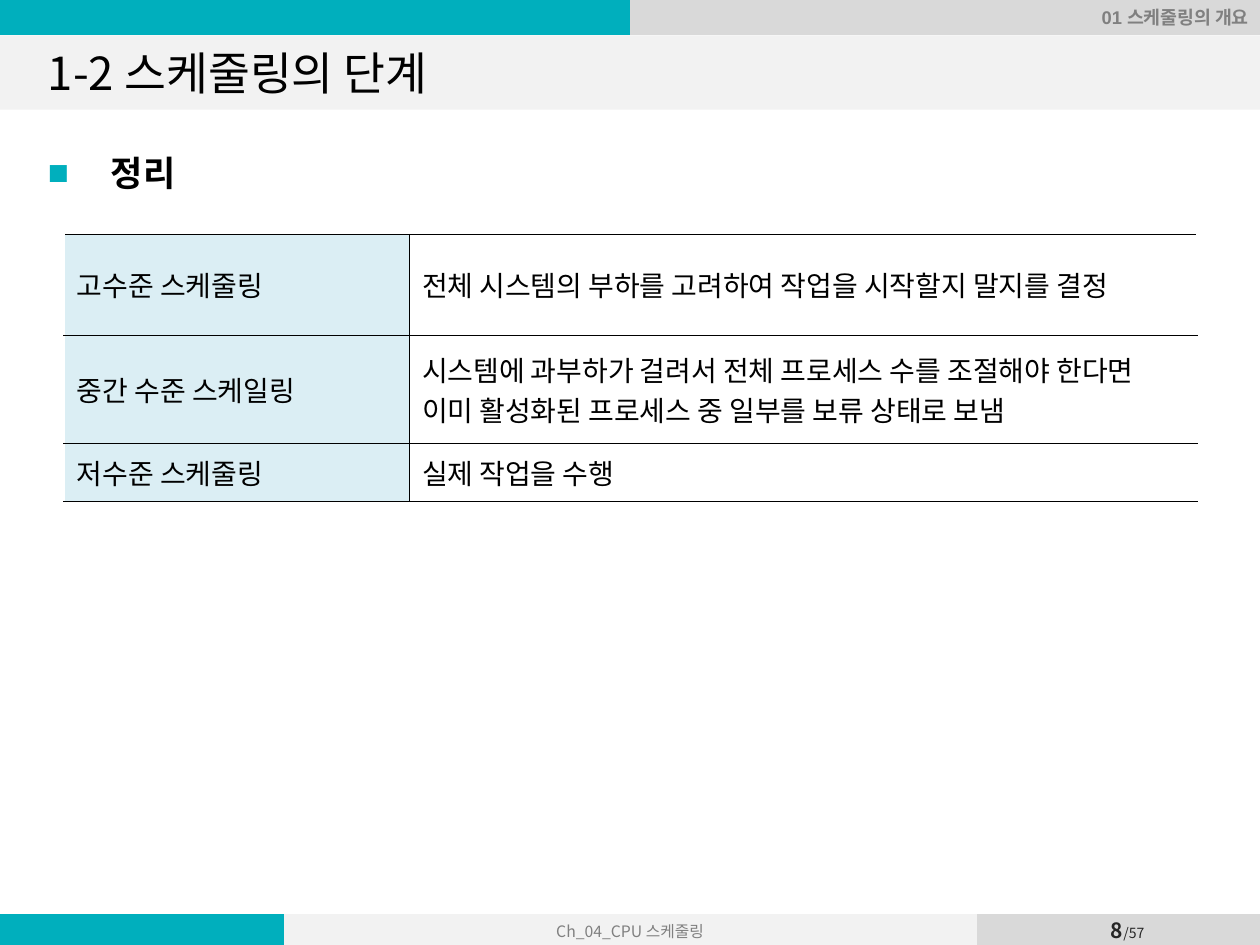
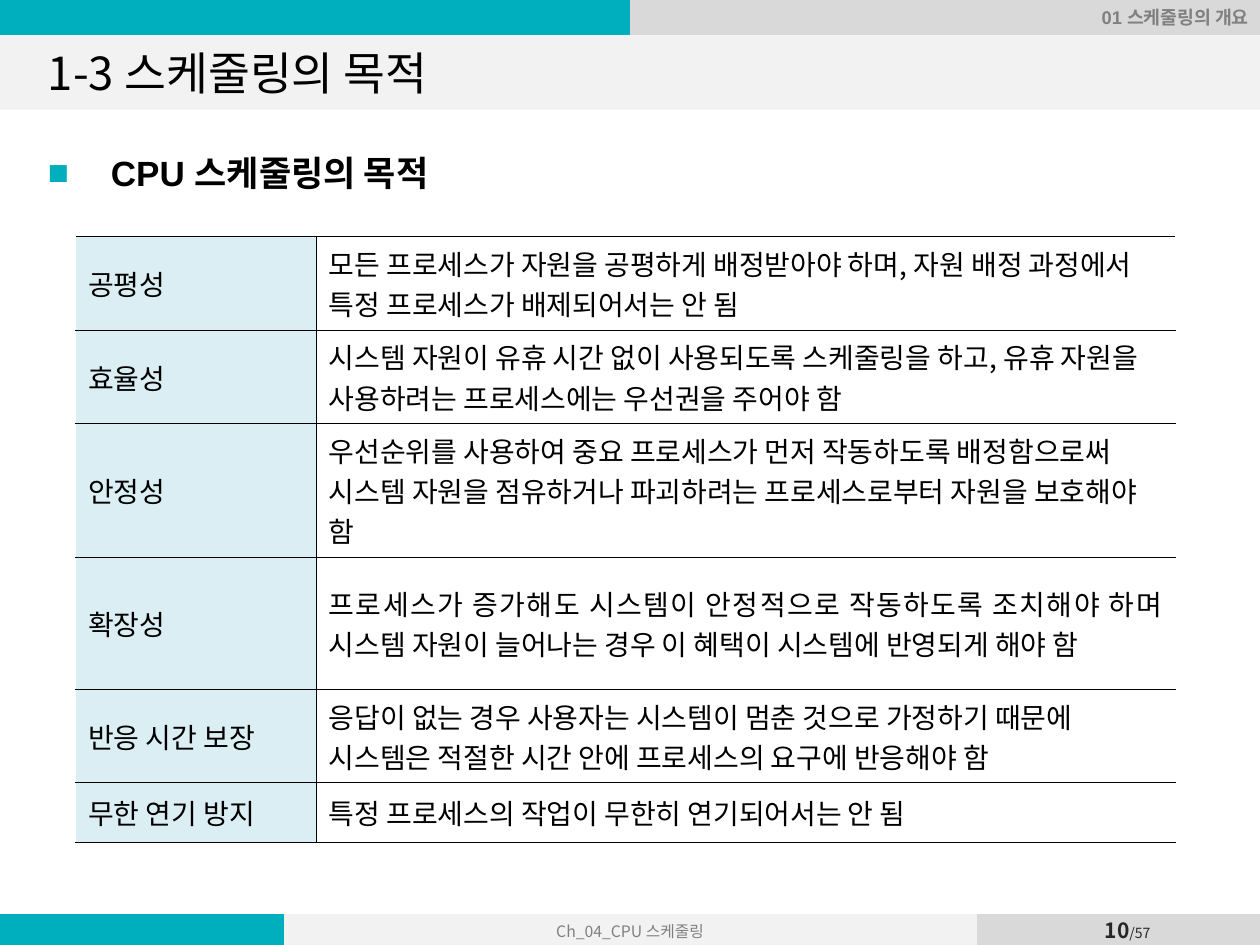
from dataclasses import dataclass

from lxml import etree
from pptx import Presentation
from pptx.dml.color import RGBColor
from pptx.enum.shapes import MSO_SHAPE
from pptx.enum.text import MSO_ANCHOR, MSO_AUTO_SIZE, PP_ALIGN
from pptx.oxml.ns import qn
from pptx.util import Inches, Pt

RECTANGLE = MSO_SHAPE.RECTANGLE
TOP, MIDDLE = MSO_ANCHOR.TOP, MSO_ANCHOR.MIDDLE
LEFT, CENTER, RIGHT, JUSTIFY = (
    PP_ALIGN.LEFT, PP_ALIGN.CENTER, PP_ALIGN.RIGHT, PP_ALIGN.JUSTIFY)
NO_AUTOFIT, FIT_SHAPE = MSO_AUTO_SIZE.NONE, MSO_AUTO_SIZE.SHAPE_TO_FIT_TEXT

TEAL, PALE_BLUE, WHITE, BLACK = "00AFBD", "DBEEF4", "FFFFFF", "000000"
LIGHT_GRAY, MID_GRAY, TEXT_GRAY, DARK = "F2F2F2", "D9D9D9", "808080", "262626"
ARIAL, NOTO = "Arial", "Noto Sans CJK KR"

CHAPTER = "Ch_04_CPU 스케줄링"
SECTION = "01 스케줄링의 개요"
PAGE_COUNT = 57


@dataclass(frozen=True)
class TextStyle:
    size: float
    font: str
    color: str
    bold: bool = False


TITLE_STYLE = TextStyle(26, NOTO, BLACK)
HEADING_STYLE = TextStyle(20, ARIAL, BLACK, True)
CELL_STYLE = TextStyle(16, NOTO, BLACK)
SECTION_STYLE = TextStyle(10.5, ARIAL, TEXT_GRAY, True)
CHAPTER_STYLE = TextStyle(9, NOTO, TEXT_GRAY)
PAGE_STYLE = TextStyle(12, NOTO, DARK, True)
PAGE_COUNT_STYLE = TextStyle(8, NOTO, DARK)


@dataclass(frozen=True)
class Row:
    term: str
    meaning: str
    height: float
    alignment: PP_ALIGN = LEFT


@dataclass(frozen=True)
class SummarySlide:
    page: int
    title: str
    heading: str
    table_at: tuple[float, float]
    column_widths: tuple[float, float]
    rows: tuple[Row, ...]


SLIDES = (
    SummarySlide(8, "1-2 스케줄링의 단계", "정리", (0.51, 1.86), (2.74, 6.25), (
        Row("고수준 스케줄링",
            "전체 시스템의 부하를 고려하여 작업을 시작할지 말지를 결정", 0.8),
        Row("중간 수준 스케일링",
            "시스템에 과부하가 걸려서 전체 프로세스 수를 조절해야 한다면 "
            "이미 활성화된 프로세스 중 일부를 보류 상태로 보냄", 0.86),
        Row("저수준 스케줄링", "실제 작업을 수행", 0.46),
    )),
    SummarySlide(10, "1-3 스케줄링의 목적", "CPU 스케줄링의 목적",
                 (0.6, 1.88), (1.91, 6.82), (
        Row("공평성",
            "모든 프로세스가 자원을 공평하게 배정받아야 하며, 자원 배정 과정에서 "
            "특정 프로세스가 배제되어서는 안 됨", 0.74),
        Row("효율성",
            "시스템 자원이 유휴 시간 없이 사용되도록 스케줄링을 하고, 유휴 "
            "자원을 사용하려는 프로세스에는 우선권을 주어야 함", 0.74),
        Row("안정성",
            "우선순위를 사용하여 중요 프로세스가 먼저 작동하도록 배정함으로써 "
            "시스템 자원을 점유하거나 파괴하려는 프로세스로부터 자원을 보호해야 함", 1.05),
        Row("확장성",
            "프로세스가 증가해도 시스템이 안정적으로 작동하도록 조치해야 하며 "
            "시스템 자원이 늘어나는 경우 이 혜택이 시스템에 반영되게 해야 함",
            1.05, JUSTIFY),
        Row("반응 시간 보장",
            "응답이 없는 경우 사용자는 시스템이 멈춘 것으로 가정하기 때문에 "
            "시스템은 적절한 시간 안에 프로세스의 요구에 반응해야 함", 0.74),
        Row("무한 연기 방지", "특정 프로세스의 작업이 무한히 연기되어서는 안 됨", 0.47),
    )),
)


def rgb(color: str) -> RGBColor:
    return RGBColor.from_string(color)


def apply_format(target, values: dict) -> None:
    for name, value in values.items():
        setattr(target, name, value)


def add_run(paragraph, text: str, style: TextStyle) -> None:
    run = paragraph.add_run()
    run.text = text
    apply_format(run.font, {"size": Pt(style.size), "bold": style.bold,
                            "name": style.font})
    run.font.color.rgb = rgb(style.color)
    # East Asian typeface for the Korean letters
    etree.SubElement(run._r.get_or_add_rPr(), qn("a:ea"), typeface=NOTO)


def place(shape, left: float, top: float, width: float, height: float) -> None:
    apply_format(shape, {"left": Inches(left), "top": Inches(top),
                         "width": Inches(width), "height": Inches(height)})


def set_border(cell, side: str, color: str | None, width: float = 0) -> None:
    line = etree.SubElement(cell._tc.get_or_add_tcPr(), qn(f"a:ln{side}"),
                            w=str(Pt(width)))
    if color is None:
        etree.SubElement(line, qn("a:noFill"))
    else:
        fill = etree.SubElement(line, qn("a:solidFill"))
        etree.SubElement(fill, qn("a:srgbClr"), val=color)


def fill_cell(cell, color: str) -> None:
    cell.fill.solid()
    cell.fill.fore_color.rgb = rgb(color)


def add_plain_table(slide, left: float, top: float, widths, heights):
    table = slide.shapes.add_table(
        len(heights), len(widths), Inches(left), Inches(top),
        Inches(sum(widths)), Inches(sum(heights))).table
    apply_format(table, {"first_row": False, "horz_banding": False})
    for column, width in zip(table.columns, widths):
        column.width = Inches(width)
    for row, height in zip(table.rows, heights):
        row.height = Inches(height)
    return table


def add_band(slide, top: float, height: float, widths, colors):
    """Draw a one-row table of borderless coloured cells."""
    table = add_plain_table(slide, 0, top, widths, (height,))
    for cell, color in zip(table.iter_cells(), colors):
        apply_format(cell, {"margin_left": 0, "margin_right": 0, "margin_top": 0,
                            "margin_bottom": 0, "vertical_anchor": MIDDLE})
        for side in "LRTB":
            set_border(cell, side, None)
        fill_cell(cell, color)
        # Small end mark, so that empty cells keep the row height
        paragraph = cell.text_frame.paragraphs[0]
        etree.SubElement(paragraph._p, qn("a:endParaRPr"), sz="900")
    return table


def add_text_box(slide, box, alignment: PP_ALIGN, runs, frame_format: dict) -> None:
    text_box = slide.shapes.add_textbox(*(Inches(length) for length in box))
    apply_format(text_box.text_frame, frame_format)
    paragraph = text_box.text_frame.paragraphs[0]
    paragraph.alignment = alignment
    for text, style in runs:
        add_run(paragraph, text, style)


def add_frame(slide, page: int) -> None:
    # Title band
    band = slide.shapes.add_shape(RECTANGLE, 0, Inches(0.28), Inches(10), Inches(0.59))
    band.shadow.inherit = False
    band.fill.solid()
    band.fill.fore_color.rgb = rgb(LIGHT_GRAY)
    band.line.fill.background()

    # Header and footer bands
    add_band(slide, 0, 0.28, (5, 5), (TEAL, MID_GRAY))
    footer = add_band(slide, 7.25, 0.27, (2.25, 5.5, 0.03, 1.34, 0.91),
                      (TEAL, LIGHT_GRAY, MID_GRAY, MID_GRAY, MID_GRAY))
    paragraph = footer.cell(0, 1).text_frame.paragraphs[0]
    paragraph.alignment = CENTER
    add_run(paragraph, CHAPTER, CHAPTER_STYLE)

    # Page number and section name
    add_text_box(slide, (8.47, 7.25, 0.96, 0.26), CENTER,
                 ((str(page), PAGE_STYLE), (f"/{PAGE_COUNT}", PAGE_COUNT_STYLE)),
                 {"word_wrap": False, "vertical_anchor": MIDDLE,
                  "margin_left": 0, "margin_right": 0})
    add_text_box(slide, (8.36, 0, 1.65, 0.28), RIGHT, ((SECTION, SECTION_STYLE),),
                 {"word_wrap": True, "auto_size": FIT_SHAPE})


def fill_placeholder(shape, box, text: str, style: TextStyle,
                     anchor: MSO_ANCHOR, alignment: PP_ALIGN):
    # Bring the placeholder in front of the bands
    shape.element.getparent().append(shape.element)
    place(shape, *box)
    apply_format(shape.text_frame, {"auto_size": NO_AUTOFIT, "word_wrap": True,
                                    "vertical_anchor": anchor})
    paragraph = shape.text_frame.paragraphs[0]
    paragraph.alignment = alignment
    add_run(paragraph, text, style)
    return paragraph


def add_square_bullet(paragraph) -> None:
    properties = paragraph._p.get_or_add_pPr()
    properties.set("marL", str(Inches(0.5)))
    properties.set("indent", str(Inches(-0.5)))
    color = etree.SubElement(properties, qn("a:buClr"))
    etree.SubElement(color, qn("a:srgbClr"), val=TEAL)
    etree.SubElement(properties, qn("a:buFont"), typeface=ARIAL)
    etree.SubElement(properties, qn("a:buChar"), char="■")


def add_summary_table(slide, content: SummarySlide) -> None:
    table = add_plain_table(slide, *content.table_at, content.column_widths,
                            [row.height for row in content.rows])
    hairline, edge = (BLACK, 0.5), (WHITE, 1)
    for index, row in enumerate(content.rows):
        columns = ((row.term, LEFT, PALE_BLUE, edge, hairline),
                   (row.meaning, row.alignment, WHITE, hairline, edge))
        for column, (text, alignment, color, left, right) in enumerate(columns):
            cell = table.cell(index, column)
            cell.vertical_anchor = MIDDLE
            for side, border in zip("LRTB", (left, right, hairline, hairline)):
                set_border(cell, side, *border)
            fill_cell(cell, color)
            paragraph = cell.text_frame.paragraphs[0]
            paragraph.alignment = alignment
            add_run(paragraph, text, CELL_STYLE)


def add_summary_slide(presentation, content: SummarySlide) -> None:
    slide = presentation.slides.add_slide(presentation.slide_layouts[1])
    add_frame(slide, content.page)
    fill_placeholder(slide.shapes.title, (0.28, 0.29, 9.45, 0.56),
                     content.title, TITLE_STYLE, MIDDLE, LEFT)
    heading = fill_placeholder(slide.placeholders[1], (0.28, 1.15, 9.22, 5.83),
                               content.heading, HEADING_STYLE, TOP, JUSTIFY)
    heading.space_before = Pt(4)
    add_square_bullet(heading)
    add_summary_table(slide, content)


def main() -> None:
    presentation = Presentation()
    apply_format(presentation, {"slide_width": Inches(10),
                                "slide_height": Inches(7.5)})
    for content in SLIDES:
        add_summary_slide(presentation, content)
    presentation.save("out.pptx")


if __name__ == "__main__":
    main()
